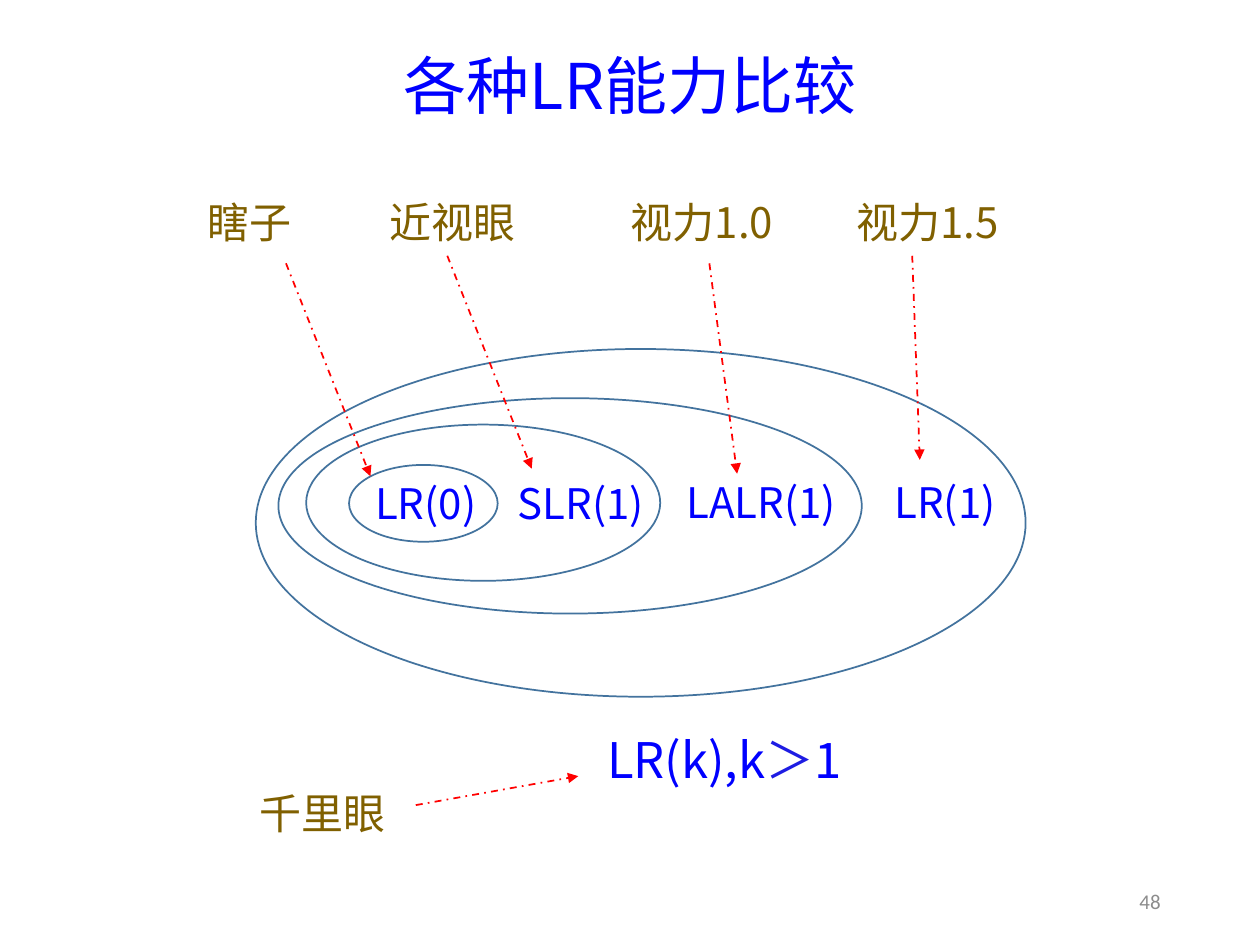
import pptx
import pptx.dml.color
import pptx.enum.dml
import pptx.enum.shapes
import pptx.enum.text
import pptx.oxml
import pptx.oxml.ns
import pptx.util
from pptx.util import Inches

BLUE, BROWN, RED, OUTLINE, GREY = "0000FF", "806000", "FF0000", "43739E", "8C8C8C"
SANS = "Noto Sans CJK SC"
ALIGN = pptx.enum.text.PP_ALIGN
ANCHOR = pptx.enum.text.MSO_ANCHOR

# Nested grammar classes, outermost first: ellipse box
CLASS_ELLIPSES = [
    (2.03, 2.77, 6.11, 2.76),
    (2.21, 3.16, 4.63, 1.71),
    (2.43, 3.37, 2.81, 1.24),
    (2.77, 3.69, 1.18, 0.61),
]
CLASS_LABELS = [
    ("LR(0)", (2.88, 3.74, 1.14, 0.62)),
    ("SLR(1)", (4.01, 3.74, 1.39, 0.52)),
    ("LALR(1)", (5.35, 3.73, 1.44, 0.58)),
    ("LR(1)", (7, 3.73, 1.29, 0.7)),
]
# Eyesight notes: text, left and top, arrow start, arrow end
EYESIGHT_NOTES = [
    ("瞎子", (1.55, 1.51), (2.27, 2.09), (2.94, 3.78)),
    ("近视眼", (2.99, 1.51), (3.55, 2.03), (4.22, 3.72)),
    ("视力1.0", (4.91, 1.51), (5.63, 2.09), (5.85, 3.76)),
    ("视力1.5", (6.7, 1.51), (7.24, 2.03), (7.3, 3.65)),
    ("千里眼", (1.96, 6.2), (3.3, 6.39), (4.59, 6.16)),
]


def color(hex_string):
    return pptx.dml.color.RGBColor.from_string(hex_string)


def lengths(values):
    return [Inches(value) for value in values]


def add_text(page, box, spans, size, font=SANS, align=ALIGN.LEFT,
             anchor=ANCHOR.TOP, gap=0):
    """Add one paragraph made of (text, colour) spans; gap is in points."""
    frame = page.shapes.add_textbox(*lengths(box)).text_frame
    frame.word_wrap = True
    frame.vertical_anchor = anchor
    para = frame.paragraphs[0]
    para.alignment = align
    para.space_before = para.space_after = pptx.util.Pt(gap)
    para.font.size = pptx.util.Pt(size)
    para.font.name = font
    east_asian = pptx.oxml.parse_xml(
        f'<a:ea {pptx.oxml.ns.nsdecls("a")} typeface="{font}"/>')
    para._p.pPr.find(pptx.oxml.ns.qn("a:defRPr")).append(east_asian)
    for text, hex_string in spans:
        span = para.add_run()
        span.text = text
        span.font.color.rgb = color(hex_string)
    return para


def add_ellipse(page, box):
    ellipse = page.shapes.add_shape(
        pptx.enum.shapes.MSO_SHAPE.OVAL, *lengths(box))
    ellipse.shadow.inherit = False
    ellipse.fill.background()
    ellipse.line.color.rgb = color(OUTLINE)
    ellipse.line.width = pptx.util.Pt(1)


def add_arrow(page, start, end):
    arrow = page.shapes.add_connector(
        pptx.enum.shapes.MSO_CONNECTOR.STRAIGHT, *lengths(start + end))
    arrow.line.color.rgb = color(RED)
    arrow.line.width = pptx.util.Pt(1)
    arrow.line.dash_style = pptx.enum.dml.MSO_LINE.DASH_DOT
    namespace = pptx.oxml.ns.nsdecls("a")
    arrow.line._get_or_add_ln().append(
        pptx.oxml.parse_xml(f'<a:tailEnd {namespace} type="triangle"/>'))
    arrow._element.spPr.append(pptx.oxml.parse_xml(f"<a:effectLst {namespace}/>"))


def add_title(page, box):
    para = add_text(page, box, [("各种LR能力比较", BLUE)], 36,
                    "Noto Sans CJK JP", ALIGN.CENTER, ANCHOR.MIDDLE)
    para.line_spacing = 0.9


def add_grammar_classes(page):
    for box in CLASS_ELLIPSES:
        add_ellipse(page, box)
    for text, box in CLASS_LABELS:
        add_text(page, box, [(text, BLUE)], 24, gap=6)
    add_text(page, (4.72, 5.74, 3.22, 0.73),
             [("LR(k),k", BLUE), ("＞", "1E1CE3"), ("1", BLUE)], 28, gap=6)


def add_eyesight_notes(page):
    for text, corner, start, end in EYESIGHT_NOTES:
        add_text(page, corner + (1.44, 0.58), [(text, BROWN)], 24, gap=6)
        add_arrow(page, start, end)


def add_page_number(page, box):
    add_text(page, box, [("48", GREY)], 12, "Calibri", ALIGN.RIGHT, ANCHOR.MIDDLE)


def main():
    deck = pptx.Presentation()
    deck.slide_width, deck.slide_height = lengths((10, 7.5))
    page = deck.slides.add_slide(deck.slide_layouts[6])
    add_title(page, (0.69, 0.21, 8.62, 0.99))
    add_grammar_classes(page)
    add_eyesight_notes(page)
    add_page_number(page, (7.06, 6.95, 2.25, 0.4))
    deck.save("out.pptx")


if __name__ == "__main__":
    main()
